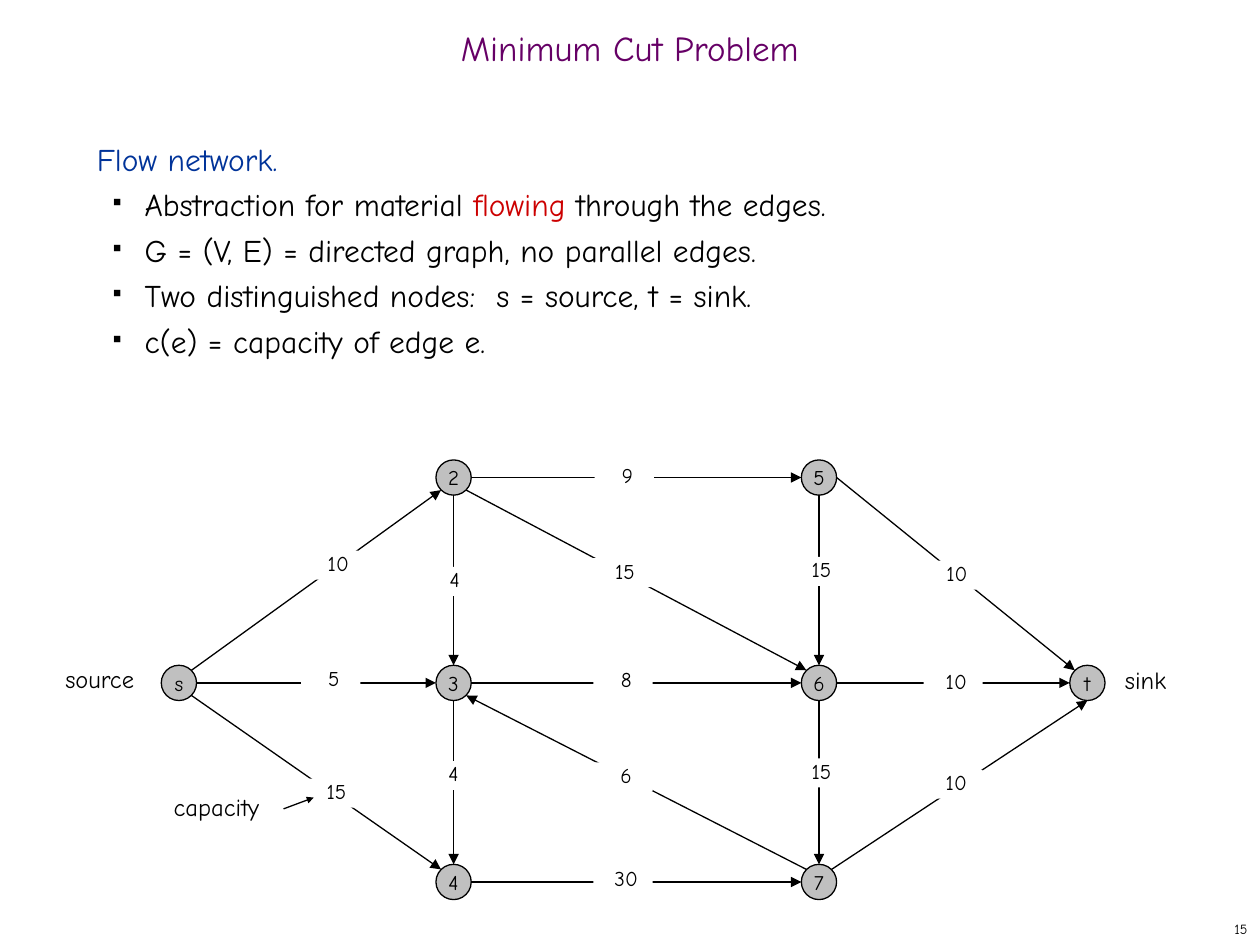
import pptx
import pptx.dml.color
import pptx.enum.shapes
import pptx.enum.text
import pptx.oxml
import pptx.oxml.ns
import pptx.util
from pptx.util import Inches

Align = pptx.enum.text.PP_ALIGN
Anchor = pptx.enum.text.MSO_ANCHOR
Shape = pptx.enum.shapes.MSO_SHAPE
NS = pptx.oxml.ns.nsdecls("a")

BLACK, WHITE, GREY = "000000", "FFFFFF", "C0C0C0"
BLUE, RED, PURPLE = "003399", "CC0000", "660066"


def tint(code):
    return pptx.dml.color.RGBColor.from_string(code)


def xml(text):
    """Build one DrawingML element from an empty tag."""
    return pptx.oxml.parse_xml(text.replace("/>", f" {NS}/>"))


class Board:
    """The current slide and its style."""

    font = "Comic Neue"
    size = 0.28  # node diameter
    diag = 0.1  # offset of a node's corner port from its centre
    line = pptx.util.Pt(0.75)

    def __init__(self, slide):
        self.slide = slide

    def style(self, part, size, color):
        part.font.name = self.font
        part.font.size = pptx.util.Pt(size)
        part.font.color.rgb = tint(color)

    def frame(self, shape, pads, anchor, wrap):
        frame = shape.text_frame
        frame.margin_left, frame.margin_top, frame.margin_right, frame.margin_bottom = (
            Inches(pad) for pad in pads)
        frame.vertical_anchor = anchor
        frame.word_wrap = wrap
        return frame

    def letter(self, para, text, size, color, align):
        para.text = text
        para.alignment = align
        for run in para.runs:
            self.style(run, size, color)

    def text(self, box, text, size, color=BLACK, align=Align.LEFT,
             anchor=Anchor.TOP, wrap=True):
        shape = self.slide.shapes.add_textbox(*map(Inches, box))
        frame = self.frame(shape, (0.1, 0.05, 0.1, 0.05), anchor, wrap)
        self.letter(frame.paragraphs[0], text, size, color, align)
        return frame

    def bullet(self, frame, parts):
        """Add a bulleted paragraph made of (text, colour) parts."""
        para = frame.add_paragraph()
        for text, color in parts:
            run = para.add_run()
            run.text = text
            self.style(run, 18, color)
        para.line_spacing = pptx.util.Pt(26)
        props = para._p.get_or_add_pPr()
        props.set("marL", str(Inches(0.38)))
        props.set("indent", str(Inches(-0.25)))
        color = xml("<a:buClr/>")
        color.append(xml(f'<a:srgbClr val="{BLACK}"/>'))
        props.append(color)
        props.append(xml('<a:buSzPct val="35000"/>'))
        props.append(xml('<a:buChar char="■"/>'))

    def shape(self, kind, box, fill):
        shape = self.slide.shapes.add_shape(kind, *map(Inches, box))
        shape.shadow.inherit = False
        shape.fill.solid()
        shape.fill.fore_color.rgb = tint(fill)
        return shape

    def node(self, name, x, y):
        half = self.size / 2
        shape = self.shape(Shape.OVAL, (x - half, y - half, self.size, self.size), GREY)
        shape.line.color.rgb = tint(BLACK)
        shape.line.width = self.line
        frame = self.frame(shape, (0, 0, 0, 0), Anchor.MIDDLE, False)
        self.letter(frame.paragraphs[0], name, 12, BLACK, Align.CENTER)

    def label(self, text, x, y, pad=0.05):
        """Place a white tag over an edge; pad nudges its text to the right."""
        shape = self.shape(Shape.RECTANGLE, (x, y, 0.47, 0.23), WHITE)
        shape.line.fill.background()
        frame = self.frame(shape, (pad, 0, 0, 0), Anchor.TOP, True)
        self.letter(frame.paragraphs[0], text, 12, BLACK, Align.CENTER)

    def arrow(self, start, end, head="med"):
        link = self.slide.shapes.add_connector(
            pptx.enum.shapes.MSO_CONNECTOR.STRAIGHT, *map(Inches, (*start, *end)))
        link.line.color.rgb = tint(BLACK)
        link.line.width = self.line
        link.line._get_or_add_ln().append(
            xml(f'<a:tailEnd type="triangle" w="{head}" len="{head}"/>'))
        link._element.spPr.append(xml("<a:effectLst/>"))

    def port(self, spot, side):
        """Give the point on a node's rim at a compass side."""
        reach = self.size / 2 if len(side) == 1 else self.diag
        x, y = spot
        return (x + reach * (("E" in side) - ("W" in side)),
                y + reach * (("S" in side) - ("N" in side)))


COLS = (1.42, 3.6, 6.5, 8.63)
TOP, MID, LOW = 3.79, 5.42, 7.0
NODES = {
    "s": (COLS[0], MID), "t": (COLS[3], MID),
    "2": (COLS[1], TOP), "3": (COLS[1], MID), "4": (COLS[1], LOW),
    "5": (COLS[2], TOP), "6": (COLS[2], MID), "7": (COLS[2], LOW),
}
# from, side, to, side, capacity, label left and top, optional text pad
EDGES = [
    ("s", "NE", "2", "SW", "10", 2.37, 4.37, 0.16),
    ("s", "E", "3", "W", "5", 2.39, 5.28),
    ("s", "SE", "4", "NW", "15", 2.41, 6.18),
    ("2", "E", "5", "W", "9", 4.72, 3.67),
    ("2", "SE", "6", "NW", "15", 4.7, 4.43),
    ("2", "S", "3", "N", "4", 3.35, 4.5),
    ("3", "E", "6", "W", "8", 4.71, 5.29),
    ("3", "S", "4", "N", "4", 3.34, 6.04),
    ("7", "NW", "3", "SE", "6", 4.71, 6.05),
    ("4", "E", "7", "W", "30", 4.71, 6.87),
    ("5", "S", "6", "N", "15", 6.26, 4.42),
    ("6", "S", "7", "N", "15", 6.26, 6.02),
    ("5", "E", "t", "NW", "10", 7.28, 4.45, 0.16),
    ("6", "E", "t", "W", "10", 7.33, 5.31),
    ("7", "NE", "t", "S", "10", 7.33, 6.11),
]
POINTS = [
    [("Abstraction for material ", BLACK), ("flowing", RED), (" through the edges.", BLACK)],
    [("G = (V, E) = directed graph, no parallel edges.", BLACK)],
    [("Two distinguished nodes:  s = source, t = sink.", BLACK)],
    [("c(e) = capacity of edge e.", BLACK)],
]
NOTES = [
    ("capacity", (1.28, 6.24, 0.95, 0.37)),
    ("source", (0.42, 5.22, 0.8, 0.37)),
    ("sink", (8.83, 5.23, 0.56, 0.37)),
]


def main():
    deck = pptx.Presentation()
    deck.slide_width, deck.slide_height = Inches(10), Inches(7.5)
    board = Board(deck.slides.add_slide(deck.slide_layouts[6]))

    board.text((7.92, 7.25, 2.08, 0.25), "15", 8, align=Align.RIGHT, anchor=Anchor.MIDDLE)
    body = board.text((0.67, 1, 8.58, 5.92), "Flow network.", 18, BLUE)
    body.paragraphs[0].line_spacing = pptx.util.Pt(26)
    for parts in POINTS:
        board.bullet(body, parts)
    title = board.text((0, 0.17, 10, 0.5), "Minimum Cut Problem", 20, PURPLE,
                       Align.CENTER, Anchor.MIDDLE)
    title.paragraphs[0].line_spacing = 0.7

    for name, spot in NODES.items():
        board.node(name, *spot)
    for tail, out, head, into, *_ in EDGES:
        board.arrow(board.port(NODES[tail], out), board.port(NODES[head], into))
    for edge in EDGES:
        board.label(*edge[4:])

    for text, box in NOTES:
        board.text(box, text, 14, wrap=False)
    board.arrow((2.25, 6.42), (2.49, 6.33), "sm")
    deck.save("out.pptx")


if __name__ == "__main__":
    main()
